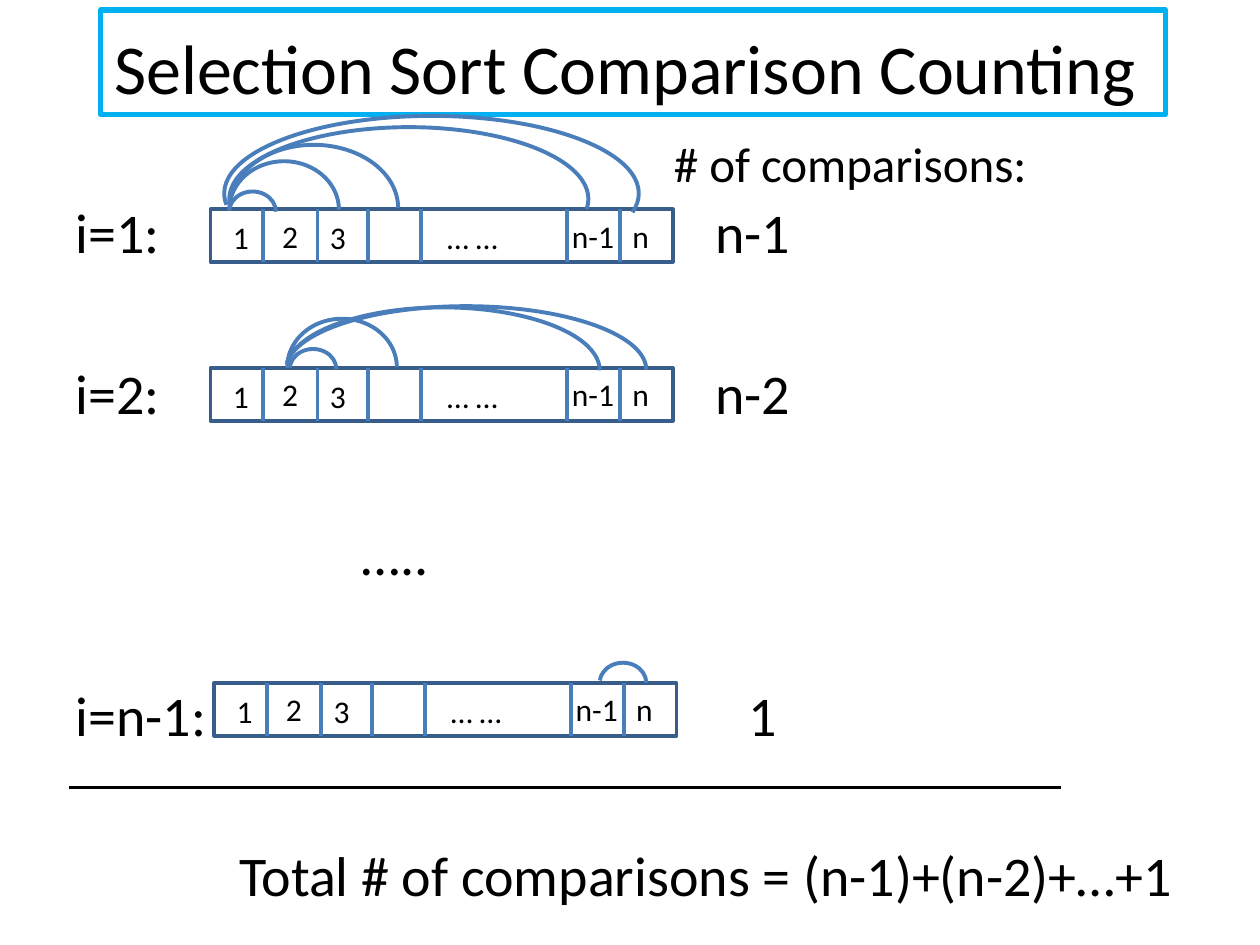
from dataclasses import dataclass

from lxml.etree import SubElement
from pptx import Presentation
from pptx.dml.color import RGBColor
from pptx.enum.shapes import MSO_CONNECTOR, MSO_SHAPE
from pptx.enum.text import MSO_ANCHOR, PP_ALIGN
from pptx.oxml.ns import qn
from pptx.util import Inches, Pt


@dataclass(frozen=True)
class Theme:
    font: str = "Calibri"
    text: str = "000000"
    frame: str = "00B0F0"
    array: str = "385D8A"
    mark: str = "4A7EBB"
    title_size: int = 40
    body_size: int = 32
    heading_size: int = 28
    cell_size: int = 18
    frame_width: float = 3
    array_width: float = 2
    mark_width: float = 2.25
    step_gap: float = 53.5


@dataclass(frozen=True)
class Step:
    label: str
    tab: float
    value: str


@dataclass(frozen=True)
class CellLabel:
    text: str
    left: float
    top: float
    width: float


@dataclass(frozen=True)
class Arc:
    left: float
    top: float
    width: float
    height: float
    start: float
    end: float = 0


@dataclass(frozen=True)
class ArrayRow:
    left: float
    top: float
    arcs: tuple[Arc, ...]


THEME = Theme()
ARRAY_WIDTH, ARRAY_HEIGHT = 3.67, 0.42
DIVIDERS = (0.42, 0.85, 1.25, 1.67, 2.83, 3.25)
CELL_LABELS = (
    CellLabel("1", 0.08, 0.02, 0.25),
    CellLabel("2", 0.47, 0.01, 0.25),
    CellLabel("3", 0.85, 0.02, 0.25),
    CellLabel("n", 3.25, 0.01, 0.25),
    CellLabel("… …", 1.78, 0.02, 0.8),
    CellLabel("n-1", 2.77, 0.01, 0.69),
)
STEPS = (
    Step("i=1:", 5.08, "n-1"),
    Step("i=2:", 5.08, "n-2"),
    Step("", 2.27, "….."),
    Step("i=n-1:", 5.34, "1"),
    Step("", 1.3, "Total # of comparisons = (n-1)+(n-2)+…+1"),
)
ARRAY_ROWS = (
    ArrayRow(1.7, 5.42, (Arc(4.76, 5.26, 0.37, 0.32, 186),)),
    ArrayRow(1.67, 2.92, (
        Arc(2.3, 2.77, 0.37, 0.32, 184),
        Arc(2.28, 2.53, 0.87, 0.77, 179),
        Arc(2.27, 2.44, 2.49, 1, 182.3),
        Arc(2.27, 2.43, 2.86, 1.01, 182.4),
    )),
    ArrayRow(1.67, 1.66, (
        Arc(1.82, 1.52, 0.37, 0.32, 184),
        Arc(1.82, 1.28, 0.87, 0.77, 179),
        Arc(1.82, 1.15, 1.34, 1, 182.6),
        Arc(1.82, 1.01, 2.85, 1.14, 177.6, 3.2),
        Arc(1.78, 0.92, 3.29, 1.23, 176.8, 5.4),
    )),
)


def write(paragraph, text: str, size: float) -> None:
    span = paragraph.add_run()
    span.text = text
    for name, value in {"name": THEME.font, "size": Pt(size)}.items():
        setattr(span.font, name, value)
    span.font.color.rgb = RGBColor.from_string(THEME.text)


def add_text_box(shapes, left: float, top: float, width: float, height: float):
    box = shapes.add_textbox(Inches(left), Inches(top), Inches(width), Inches(height))
    box.text_frame.word_wrap = True
    return box.text_frame


def add_outline(shapes, preset, left: float, top: float, width: float, height: float,
                color: str, weight: float):
    shape = shapes.add_shape(preset, Inches(left), Inches(top), Inches(width), Inches(height))
    shape.shadow.inherit = False
    shape.fill.background()
    shape.line.color.rgb = RGBColor.from_string(color)
    shape.line.width = Pt(weight)
    return shape


def add_line(shapes, start: tuple[float, float], end: tuple[float, float], color: str) -> None:
    line = shapes.add_connector(MSO_CONNECTOR.STRAIGHT, *map(Inches, start + end))
    line.line.color.rgb = RGBColor.from_string(color)
    line.line.width = Pt(THEME.mark_width)
    SubElement(line._element.spPr, qn("a:effectLst"))


def add_arc(shapes, arc: Arc) -> None:
    shape = add_outline(shapes, MSO_SHAPE.ARC, arc.left, arc.top, arc.width, arc.height,
                        THEME.mark, THEME.mark_width)
    for index, degrees in enumerate((arc.start, arc.end)):
        shape.adjustments[index] = degrees * 0.6


def add_array_row(page, row: ArrayRow) -> None:
    shapes = page.shapes.add_group_shape().shapes
    add_outline(shapes, MSO_SHAPE.RECTANGLE, row.left, row.top, ARRAY_WIDTH, ARRAY_HEIGHT,
                THEME.array, THEME.array_width)
    for offset in DIVIDERS:
        x = row.left + offset
        add_line(shapes, (x, row.top), (x, row.top + ARRAY_HEIGHT), THEME.mark)
    for label in CELL_LABELS:
        frame = add_text_box(shapes, row.left + label.left, row.top + label.top, label.width, 0.4)
        write(frame.paragraphs[0], label.text, THEME.cell_size)
    for arc in row.arcs:
        add_arc(shapes, arc)


def add_steps(page) -> None:
    frame = add_text_box(page.shapes, 0.5, 1.52, 9, 5.83)
    for index, step in enumerate(STEPS):
        paragraph = frame.add_paragraph() if index else frame.paragraphs[0]
        if index:
            paragraph.space_before = Pt(THEME.step_gap)
        tabs = SubElement(paragraph._p.get_or_add_pPr(), qn("a:tabLst"))
        SubElement(tabs, qn("a:tab"), pos=str(Inches(step.tab)), algn="l")
        write(paragraph, f"{step.label}\t{step.value}", THEME.body_size)


def main() -> None:
    deck = Presentation()
    deck.slide_width, deck.slide_height = Inches(10), Inches(7.5)
    page = deck.slides.add_slide(deck.slide_layouts[6])

    title = add_text_box(page.shapes, 0.46, 0.13, 9, 0.79)
    title.vertical_anchor = MSO_ANCHOR.MIDDLE
    title.paragraphs[0].alignment = PP_ALIGN.CENTER
    write(title.paragraphs[0], "Selection Sort Comparison Counting", THEME.title_size)

    add_steps(page)
    add_outline(page.shapes, MSO_SHAPE.RECTANGLE, 0.8, 0.08, 8.45, 0.83,
                THEME.frame, THEME.frame_width)
    heading = add_text_box(page.shapes, 5.25, 1.01, 3, 0.57)
    write(heading.paragraphs[0], "# of comparisons:", THEME.heading_size)
    add_line(page.shapes, (0.55, 6.25), (8.42, 6.25), THEME.text)
    for row in ARRAY_ROWS:
        add_array_row(page, row)

    deck.save("out.pptx")


if __name__ == "__main__":
    main()
